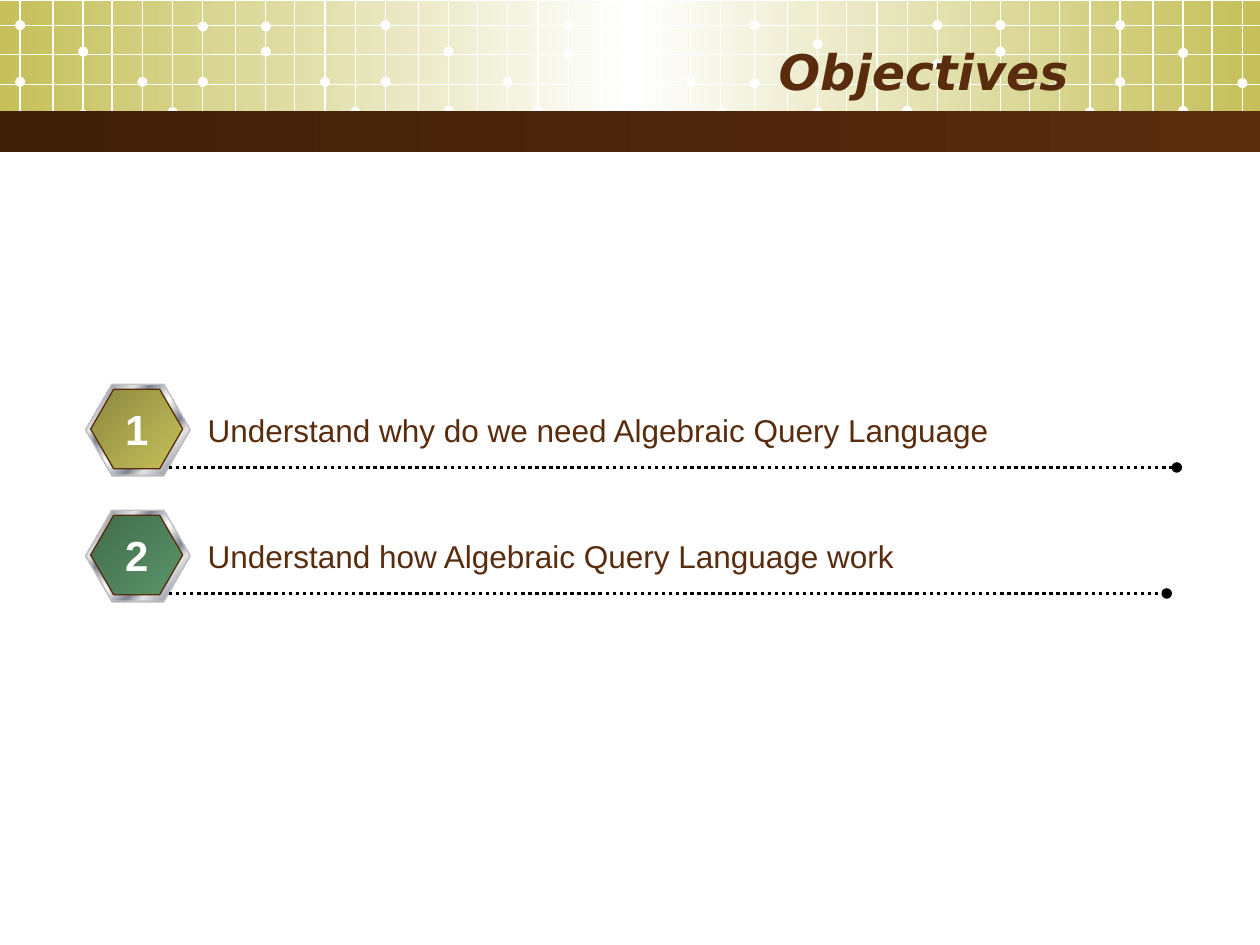
from typing import NamedTuple

from lxml import etree
from pptx import Presentation
from pptx.dml.color import RGBColor
from pptx.enum.dml import MSO_LINE
from pptx.enum.shapes import MSO_CONNECTOR, MSO_SHAPE
from pptx.enum.text import MSO_ANCHOR, MSO_AUTO_SIZE, PP_ALIGN
from pptx.oxml.ns import qn
from pptx.util import Inches, Pt

RECT, OVAL, HEXAGON = MSO_SHAPE.RECTANGLE, MSO_SHAPE.OVAL, MSO_SHAPE.HEXAGON
STRAIGHT = MSO_CONNECTOR.STRAIGHT
SYS_DOT = MSO_LINE.ROUND_DOT
MIDDLE = MSO_ANCHOR.MIDDLE
LEFT, CENTER, RIGHT = PP_ALIGN.LEFT, PP_ALIGN.CENTER, PP_ALIGN.RIGHT
FIT_SHAPE = MSO_AUTO_SIZE.SHAPE_TO_FIT_TEXT

BLACK = RGBColor(0x00, 0x00, 0x00)
WHITE = RGBColor(0xFF, 0xFF, 0xFF)
BROWN = RGBColor(0x59, 0x2C, 0x0D)
DARK_BROWN = RGBColor(0x40, 0x1F, 0x09)
OLIVE = RGBColor(0xC5, 0xC0, 0x59)
DARK_OLIVE = RGBColor(0x8D, 0x89, 0x40)
GREEN = RGBColor(0x5B, 0x95, 0x69)
DARK_GREEN = RGBColor(0x41, 0x6B, 0x4B)
GRAY = RGBColor(0x80, 0x80, 0x80)
SILVER = RGBColor(0xC0, 0xC0, 0xC0)
LIGHT = RGBColor(0xE6, 0xE6, 0xE6)
STEEL = RGBColor(0x7D, 0x84, 0x96)

# The slide is a grid of one-inch columns and rows.
COLUMNS, ROWS = 10, 7.5
GRID_BOTTOM = 1.1
GRID_ROWS = (0.2, 0.43, 0.67, 0.89)
LINE_OFFSETS = (0, 0.26, 0.5, 0.73, 0.97, 1.21)
DOT_LINES = (0, 0, 2, 2, 4, 5)
DOT_SIZE = 0.08
FIRST_ROW, ROW_PITCH = 3.05, 1


class Stop(NamedTuple):
    percent: int
    color: RGBColor


class GridBlock(NamedTuple):
    """Six vertical lines from start, with dots centred on DOT_LINES."""
    start: float
    dot_rows: tuple[float, ...]


class Objective(NamedTuple):
    text: str
    dark: RGBColor
    light: RGBColor
    text_width: float
    rule_end: float


METAL = [Stop(*s) for s in (
    (0, LIGHT), (8, STEEL), (26, LIGHT), (34, STEEL), (46, LIGHT), (50, WHITE),
    (54, LIGHT), (66, STEEL), (74, LIGHT), (92, STEEL), (100, LIGHT))]
BLOCKS = (
    GridBlock(0.16, (0.65, 0.2, 0.41, 0.91, 0.65, 0.89)),
    GridBlock(1.61, (0.65, 0.21, 0.41, 0.21, 0.65, 0.89)),
    GridBlock(3.06, (0.65, 0.2, 0.41, 0.88, 0.65, 0.88)),
    GridBlock(4.51, (0.43, 0.2, 0.42, 0.2, 0.65, 0.89)),
    GridBlock(5.99, (0.66, 0.2, 0.35, 0.89, 0.64, 0.88)),
    GridBlock(7.44, (0.51, 0.2, 0.41, 0.2, 0.65, 0.89)),
    GridBlock(8.89, (0.65, 0.2, 0.42, 0.88, 0.66)),
)
OBJECTIVES = (
    Objective("Understand why do we need Algebraic Query Language",
              DARK_OLIVE, OLIVE, 7.31, 9.34),
    Objective("Understand how Algebraic Query Language work",
              DARK_GREEN, GREEN, 6.44, 9.26),
)


def set_gradient(sp, stops: list[Stop], angle: int) -> None:
    """Fill with any number of stops; angle is clockwise degrees."""
    sp.fill.gradient()
    grad = sp.element.spPr.find(qn("a:gradFill"))
    stop_list = grad.find(qn("a:gsLst"))
    for old in list(stop_list):
        stop_list.remove(old)
    for stop in stops:
        gs = etree.SubElement(stop_list, qn("a:gs"), pos=str(stop.percent * 1000))
        etree.SubElement(gs, qn("a:srgbClr"), val=str(stop.color))
    grad.find(qn("a:lin")).set("ang", str(angle * 60000))


def add_shape(shapes, kind, left: float, top: float, width: float, height: float,
              fill: RGBColor | list[Stop], angle: int = 0,
              outline: RGBColor | None = None):
    sp = shapes.add_shape(kind, Inches(left), Inches(top), Inches(width), Inches(height))
    sp.shadow.inherit = False
    if isinstance(fill, RGBColor):
        sp.fill.solid()
        sp.fill.fore_color.rgb = fill
    else:
        set_gradient(sp, fill, angle)
    if outline is None:
        sp.line.fill.background()
    else:
        sp.line.color.rgb = outline
        sp.line.width = Pt(0.75)
    if kind == HEXAGON:
        sp.adjustments[0] = 0.289
        sp.adjustments[1] = 1.155
    return sp


def add_line(shapes, x1: float, y1: float, x2: float, y2: float,
             color: RGBColor, width: float):
    line = shapes.add_connector(STRAIGHT, Inches(x1), Inches(y1), Inches(x2), Inches(y2))
    line.line.color.rgb = color
    line.line.width = Pt(width)
    etree.SubElement(line.element.spPr, qn("a:effectLst"))
    return line


def format_text(tf, text: str, font: str, size: int, color: RGBColor,
                align, bold: bool = False, italic: bool = False) -> None:
    tf.text = text
    p = tf.paragraphs[0]
    p.alignment = align
    p.font.name = font
    p.font.size = Pt(size)
    p.font.color.rgb = color
    p.font.bold = bold
    p.font.italic = italic


def add_text(shapes, left: float, top: float, width: float, height: float,
             text: str, size: int, color: RGBColor, align=LEFT,
             bold: bool = False, wrap: bool = True) -> None:
    box = shapes.add_textbox(Inches(left), Inches(top), Inches(width), Inches(height))
    tf = box.text_frame
    tf.word_wrap = wrap
    tf.auto_size = FIT_SHAPE
    format_text(tf, text, "Arial", size, color, align, bold)


def add_header(shapes) -> None:
    add_shape(shapes, RECT, 0, 0.01, COLUMNS, 1.02,
              [Stop(0, OLIVE), Stop(50, WHITE), Stop(100, OLIVE)])
    grid = shapes.add_group_shape().shapes
    for block in BLOCKS:
        lines = [block.start + offset for offset in LINE_OFFSETS]
        for x in lines:
            if x < COLUMNS:
                add_line(grid, x, 0, x, GRID_BOTTOM, WHITE, 0.75)
        for column, y in zip(DOT_LINES, block.dot_rows):
            add_shape(grid, OVAL, lines[column] - DOT_SIZE / 2, y - DOT_SIZE / 2,
                      DOT_SIZE, DOT_SIZE, WHITE)
    for y in GRID_ROWS:
        add_line(grid, 0, y, COLUMNS, y, WHITE, 0.75)
    add_shape(shapes, RECT, 0, 0.88, COLUMNS, 0.33,
              [Stop(0, DARK_BROWN), Stop(100, BROWN)])


def add_title(slide) -> None:
    title = slide.shapes.title
    title.left, title.top = Inches(0.5), Inches(0.25)
    title.width, title.height = Inches(8.08), Inches(0.62)
    title.text_frame.vertical_anchor = MIDDLE
    format_text(title.text_frame, "Objectives", "DejaVu Sans", 28, BROWN,
                RIGHT, bold=True, italic=True)
    title.element.getparent().append(title.element)  # in front of the header


def add_objective(shapes, number: int, item: Objective) -> None:
    top = FIRST_ROW + (number - 1) * ROW_PITCH
    badge = shapes.add_group_shape().shapes
    add_shape(badge, HEXAGON, 0.68, top + 0.01, 0.83, 0.72, GRAY)
    add_shape(badge, HEXAGON, 0.68, top, 0.83, 0.72, METAL, 45, SILVER)
    add_shape(badge, HEXAGON, 0.72, top + 0.04, 0.73, 0.63,
              [Stop(0, item.dark), Stop(100, item.light)], 45, BROWN)
    rule = add_line(shapes, 1.34, top + 0.66, item.rule_end, top + 0.66, BLACK, 2)
    rule.line.dash_style = SYS_DOT
    etree.SubElement(rule.element.spPr.find(qn("a:ln")), qn("a:tailEnd"), type="oval")
    add_text(shapes, 1.55, top + 0.16, item.text_width, 0.4, item.text, 18, BROWN)
    add_text(shapes, 0.89, top + 0.1, 0.39, 0.5, str(number), 24, WHITE,
             CENTER, bold=True, wrap=False)


def main() -> None:
    prs = Presentation()
    prs.slide_width, prs.slide_height = Inches(COLUMNS), Inches(ROWS)
    slide = prs.slides.add_slide(prs.slide_layouts.get_by_name("Title Only"))
    add_header(slide.shapes)
    add_title(slide)
    for number, item in enumerate(OBJECTIVES, start=1):
        add_objective(slide.shapes, number, item)
    prs.save("out.pptx")


if __name__ == "__main__":
    main()
